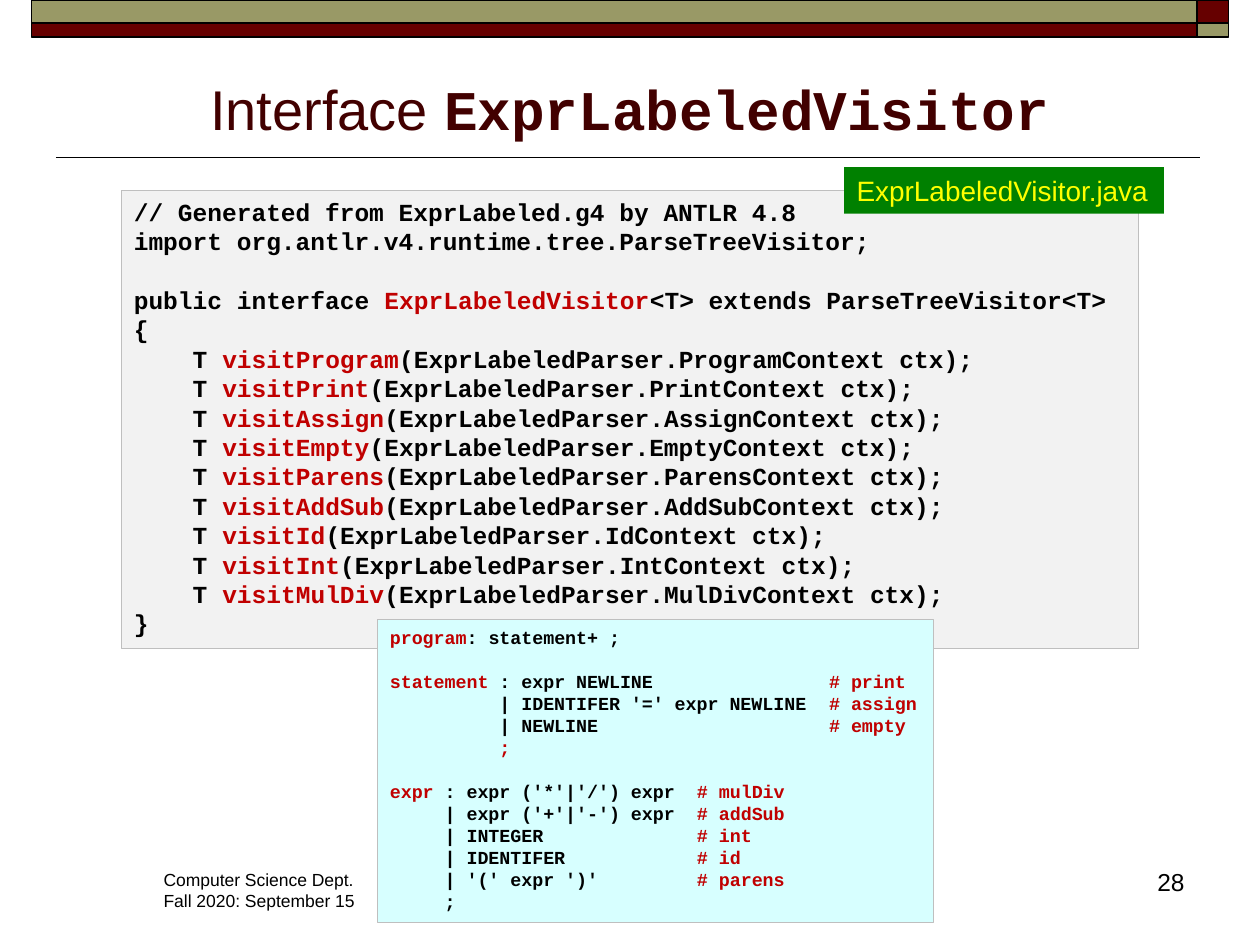
from lxml import etree
from pptx import Presentation
from pptx.dml.color import RGBColor
from pptx.enum.shapes import MSO_CONNECTOR, MSO_SHAPE
from pptx.enum.text import MSO_ANCHOR, PP_ALIGN
from pptx.oxml.ns import qn
from pptx.util import Pt

RECTANGLE = MSO_SHAPE.RECTANGLE
STRAIGHT = MSO_CONNECTOR.STRAIGHT
LEFT, CENTER, RIGHT = PP_ALIGN.LEFT, PP_ALIGN.CENTER, PP_ALIGN.RIGHT
TOP, BOTTOM = MSO_ANCHOR.TOP, MSO_ANCHOR.BOTTOM
TITLE_ONLY = 5
SANS, MONO = "Arial", "Courier New"
MARK = "~"  # encloses highlighted words in code
LINE_HEIGHT = 1.2

COLORS = {
    "black": "000000", "maroon": "660000", "olive": "999966", "title": "420000",
    "red": "C00000", "gray": "F2F2F2", "border": "BFBFBF", "cyan": "D7FFFF",
    "green": "008000", "yellow": "FFFF00",
}

VISITED = ["Program", "Print", "Assign", "Empty", "Parens", "AddSub", "Id", "Int", "MulDiv"]
# Each code block is a list of sections, set one blank line apart
INTERFACE_CODE = [
    ["// Generated from ExprLabeled.g4 by ANTLR 4.8",
     "import org.antlr.v4.runtime.tree.ParseTreeVisitor;"],
    ["public interface ~ExprLabeledVisitor~<T> extends ParseTreeVisitor<T>", "{"]
    + [f"    T ~visit{name}~(ExprLabeledParser.{name}Context ctx);" for name in VISITED]
    + ["}"],
]
GRAMMAR_CODE = [
    ["~program~: statement+ ;"],
    ["~statement~ : expr NEWLINE\t~# print~",
     "          | IDENTIFER '=' expr NEWLINE\t~# assign~",
     "          | NEWLINE\t~# empty~",
     "          ~;~"],
    ["~expr~ : expr ('*'|'/') expr\t~# mulDiv~",
     "     | expr ('+'|'-') expr\t~# addSub~",
     "     | INTEGER\t~# int~",
     "     | IDENTIFER\t~# id~",
     "     | '(' expr ')'\t~# parens~",
     "     ;"],
]
GRAMMAR_TABS = [None, 251, 175.5]


def color(name):
    return RGBColor.from_string(COLORS[name])


def add_text(paragraph, text, size=14, font=SANS, ink="black", bold=False, align=LEFT):
    paragraph.alignment = align
    run = paragraph.add_run()
    run.text = text
    run.font.size = Pt(size)
    run.font.name = font
    run.font.bold = bold
    run.font.color.rgb = color(ink)


def add_box(slide, box, fill, border=None, width=0.75):
    shape = slide.shapes.add_shape(RECTANGLE, *map(Pt, box))
    shape.shadow.inherit = False
    shape.fill.solid()
    shape.fill.fore_color.rgb = color(fill)
    if border:
        shape.line.color.rgb = color(border)
        shape.line.width = Pt(width)
    else:
        shape.line.fill.background()
    shape.text_frame.vertical_anchor = TOP
    return shape


def add_tab(paragraph, position):
    tabs = etree.SubElement(paragraph._p.get_or_add_pPr(), qn("a:tabLst"))
    etree.SubElement(tabs, qn("a:tab"), pos=str(Pt(position)), algn="l")


def add_header(slide, box):
    left, top, width, height = box
    corner, upper = 18, 13
    columns = [(left, width - corner), (left + width - corner, corner)]
    rows = [(top, upper), (top + upper, height - upper)]
    for row, (y, band) in enumerate(rows):
        for column, (x, length) in enumerate(columns):
            fill = "olive" if row == column else "maroon"
            add_box(slide, (x, y, length, band), fill, "black", 1)


def add_title(slide, box):
    title = slide.shapes.title
    title.left, title.top, title.width, title.height = map(Pt, box)
    title.text_frame.vertical_anchor = BOTTOM
    paragraph = title.text_frame.paragraphs[0]
    add_text(paragraph, "Interface ", size=32, ink="title", align=CENTER)
    add_text(paragraph, "ExprLabeledVisitor", size=32, font=MONO, ink="title",
             bold=True, align=CENTER)


def add_rule(slide, left, right, y):
    rule = slide.shapes.add_connector(STRAIGHT, Pt(left), Pt(y), Pt(right), Pt(y))
    rule.line.color.rgb = color("black")
    rule.line.width = Pt(1)
    etree.SubElement(rule._element.spPr, qn("a:effectLst"))


def add_code(slide, box, sections, fill, size, tabs=None):
    frame = add_box(slide, box, fill, "border").text_frame
    frame.word_wrap = True
    paragraph = None
    for number, lines in enumerate(sections):
        for index, line in enumerate(lines):
            paragraph = frame.add_paragraph() if paragraph else frame.paragraphs[0]
            if tabs and tabs[number]:
                add_tab(paragraph, tabs[number])
            if number and index == 0:
                paragraph.space_before = Pt(round(size * LINE_HEIGHT, 1))
            for part, words in enumerate(line.split(MARK)):
                if words:
                    add_text(paragraph, words, size=size, font=MONO, bold=True,
                             ink="red" if part % 2 else "black")


def add_file_label(slide, box, name):
    frame = add_box(slide, box, "green").text_frame
    frame.word_wrap = False
    add_text(frame.paragraphs[0], name, size=16, ink="yellow")


def add_note(slide, box, lines, size, align=LEFT):
    frame = slide.shapes.add_textbox(*map(Pt, box)).text_frame
    frame.word_wrap = align == RIGHT
    for index, line in enumerate(lines):
        paragraph = frame.add_paragraph() if index else frame.paragraphs[0]
        add_text(paragraph, line, size=size, align=align)


def main():
    presentation = Presentation()
    presentation.slide_width, presentation.slide_height = Pt(720), Pt(540)
    slide = presentation.slides.add_slide(presentation.slide_layouts[TITLE_ONLY])

    # Header and title
    add_header(slide, (18, 0, 684, 21))
    add_rule(slide, 32, 686, 90)
    add_title(slide, (36, 32.4, 648, 52))

    # Footer
    add_note(slide, (86.4, 493.2, 124, 31.5),
             ["Computer Science Dept.", "Fall 2020: September 15"], 10)
    add_note(slide, (633.6, 492, 50.4, 36), ["28"], 14, RIGHT)

    # Code, file name and grammar
    add_code(slide, (69.4, 108.8, 581.2, 262), INTERFACE_CODE, "gray", 14)
    add_file_label(slide, (482.4, 95.5, 182.7, 26.6), "ExprLabeledVisitor.java")
    add_code(slide, (215.7, 354, 317.8, 173), GRAMMAR_CODE, "cyan", 10.5, GRAMMAR_TABS)

    presentation.save("out.pptx")


if __name__ == "__main__":
    main()
